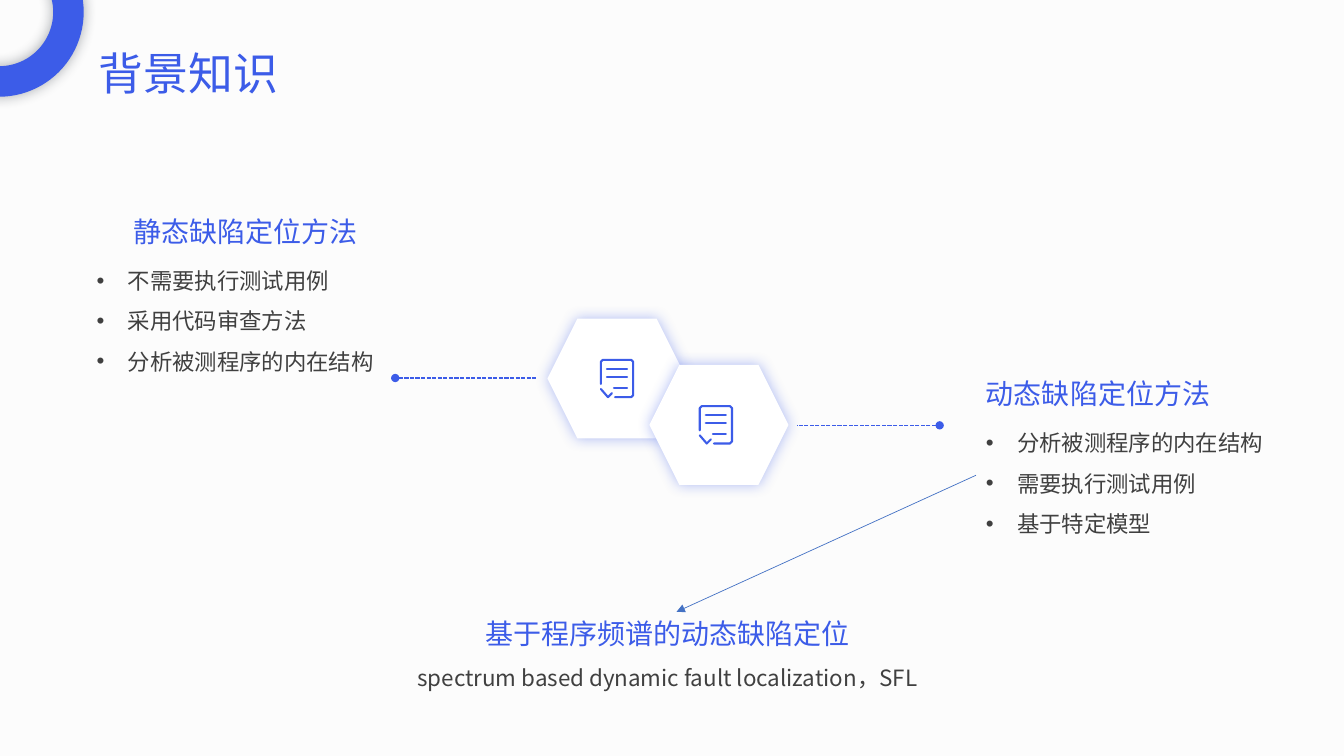
from dataclasses import dataclass

from lxml.etree import SubElement
from pptx import Presentation
from pptx.dml.color import RGBColor
from pptx.enum.dml import MSO_LINE
from pptx.enum.shapes import MSO_CONNECTOR, MSO_SHAPE
from pptx.enum.text import MSO_AUTO_SIZE, PP_ALIGN
from pptx.oxml.ns import qn
from pptx.util import Emu, Pt

EMU_PER_PX = 9144  # 100 px to the inch
FONT = "Noto Sans CJK SC"
BLUE, GREY, WHITE = "3C5CE8", "404040", "FFFFFF"
ICON_STROKES = [
    [(15, 38), (31, 38), (33, 36), (33, 3), (31, 1), (3, 1), (1, 3), (1, 25)],
    [(14, 29), (27, 29)],
    [(7, 18), (27, 18)],
    [(7, 10), (27, 10)],
    [(1, 30), (8, 38), (12, 34)],
]


@dataclass
class Line:
    text: str
    size: int = 16
    color: str = GREY
    align: PP_ALIGN = PP_ALIGN.LEFT
    spacing: float = 1.5
    bullet: bool = False


@dataclass
class TextBox:
    box: tuple[int, int, int, int]
    lines: list[Line]
    wrap: bool = True


@dataclass
class Hexagon:
    left: int
    top: int
    icon: tuple[int, int]


@dataclass
class Connector:
    start: tuple[int, int]
    end: tuple[int, int]
    color: str
    width: float
    marker: tuple[str, str]
    dashed: bool = False


def px(value: int) -> Emu:
    return Emu(value * EMU_PER_PX)


def rgb(color: str) -> RGBColor:
    return RGBColor.from_string(color)


def heading(text: str, align: PP_ALIGN = PP_ALIGN.LEFT) -> Line:
    return Line(text, 20, BLUE, align, 1.0)


def bullet(text: str) -> Line:
    return Line(text, bullet=True)


def add_text(slide, item: TextBox):
    shape = slide.shapes.add_textbox(*map(px, item.box))
    frame = shape.text_frame
    frame.word_wrap = item.wrap
    frame.auto_size = MSO_AUTO_SIZE.SHAPE_TO_FIT_TEXT
    for index, line in enumerate(item.lines):
        paragraph = frame.add_paragraph() if index else frame.paragraphs[0]
        run = paragraph.add_run()
        run.text = line.text
        run.font.color.rgb = rgb(line.color)
        formats = {
            paragraph: {"alignment": line.align, "line_spacing": line.spacing},
            run.font: {"name": FONT, "size": Pt(line.size)},
        }
        for target, values in formats.items():
            for name, value in values.items():
                setattr(target, name, value)
        SubElement(run.font._element, qn("a:ea"), typeface=FONT)
        if line.bullet:
            properties = paragraph._p.get_or_add_pPr()
            properties.set("marL", str(px(31)))
            properties.set("indent", str(px(-31)))
            SubElement(properties, qn("a:buFont"), typeface="Arial")
            SubElement(properties, qn("a:buChar"), char="•")
    return shape


def add_glowing_shape(slide, kind: MSO_SHAPE, box: tuple[int, int, int, int],
                      fill: str, glow: str):
    shape = slide.shapes.add_shape(kind, *map(px, box))
    shape.fill.solid()
    shape.fill.fore_color.rgb = rgb(fill)
    shape.line.fill.background()
    shape.shadow.inherit = False
    effects = shape._element.spPr.find(qn("a:effectLst"))
    shadow = SubElement(effects, qn("a:outerShdw"), blurRad=str(Pt(10)),
                        dist="0", dir="0", algn="ctr", rotWithShape="0")
    color = SubElement(shadow, qn("a:srgbClr"), val=glow)
    SubElement(color, qn("a:alpha"), val="40000")
    return shape


def add_icon(slide, left: int, top: int) -> None:
    first, *others = ICON_STROKES
    builder = slide.shapes.build_freeform(*first[0], scale=EMU_PER_PX)
    builder.add_line_segments(first[1:], close=False)
    for stroke in others:
        builder.move_to(*stroke[0])
        builder.add_line_segments(stroke[1:], close=False)
    shape = builder.convert_to_shape(px(left), px(top))
    shape.fill.background()
    shape.shadow.inherit = False
    shape.line.color.rgb = rgb(BLUE)
    shape.line.width = Pt(1.5)
    outline = shape.line._get_or_add_ln()
    outline.set("cap", "rnd")
    SubElement(outline, qn("a:round"))


def add_line(slide, item: Connector):
    connector = slide.shapes.add_connector(
        MSO_CONNECTOR.STRAIGHT, *map(px, item.start + item.end))
    connector.line.color.rgb = rgb(item.color)
    connector.line.width = Pt(item.width)
    if item.dashed:
        connector.line.dash_style = MSO_LINE.SQUARE_DOT
    end_tag, end_type = item.marker
    SubElement(connector.line._get_or_add_ln(), qn(end_tag), type=end_type)
    SubElement(connector._element.spPr, qn("a:effectLst"))
    return connector


STATIC_METHODS = [
    TextBox((120, 208, 245, 44),
            [heading("静态缺陷定位方法", PP_ALIGN.RIGHT)], wrap=False),
    TextBox((86, 247, 306, 127),
            [bullet("不需要执行测试用例"), bullet("采用代码审查方法"),
             bullet("分析被测程序的内在结构")]),
]
DYNAMIC_HEADING = TextBox((968, 369, 245, 44),
                          [heading("动态缺陷定位方法")], wrap=False)
DYNAMIC_POINTS = TextBox(
    (968, 408, 328, 127),
    [bullet("分析被测程序的内在结构"), bullet("需要执行测试用例"), bullet("基于特定模型")])
TITLE = TextBox((88, 40, 462, 64), [Line("背景知识", 32, BLUE, spacing=1.0)])
SPECTRUM = TextBox(
    (392, 607, 540, 79),
    [heading("基于程序频谱的动态缺陷定位", PP_ALIGN.CENTER),
     Line("spectrum based dynamic fault localization，SFL",
          align=PP_ALIGN.CENTER)])
HEXAGONS = [Hexagon(543, 316, (595, 356)), Hexagon(644, 362, (693, 402))]
DOTTED_LINES = [
    Connector(start, end, BLUE, 1, ("a:headEnd", "oval"), dashed=True)
    for start, end in [((392, 375), (532, 375)), ((932, 422), (790, 422))]
]
ARROW = Connector((968, 471), (671, 607), "4472C4", 0.5,
                  ("a:tailEnd", "triangle"))


def main() -> None:
    presentation = Presentation()
    presentation.slide_width, presentation.slide_height = px(1333), px(750)
    slide = presentation.slides.add_slide(presentation.slide_layouts[6])
    slide.background.fill.solid()
    slide.background.fill.fore_color.rgb = rgb("FCFCFC")

    # Static and dynamic methods
    for item in STATIC_METHODS + [DYNAMIC_HEADING]:
        add_text(slide, item)
    dynamic_points = add_text(slide, DYNAMIC_POINTS)

    # Hexagons with icons and dotted lines
    for hexagon, dotted_line in zip(HEXAGONS, DOTTED_LINES):
        add_glowing_shape(slide, MSO_SHAPE.HEXAGON,
                          (hexagon.left, hexagon.top, 138, 119), WHITE, BLUE)
        add_line(slide, dotted_line)
        add_icon(slide, *hexagon.icon)

    # Corner ring and title
    ring = add_glowing_shape(slide, MSO_SHAPE.DONUT, (-85, -72, 168, 168),
                             BLUE, "222A35")
    ring.adjustments[0] = 0.18
    add_text(slide, TITLE)

    # Spectrum-based localization
    add_text(slide, SPECTRUM)
    add_line(slide, ARROW).begin_connect(dynamic_points, 1)
    presentation.save("out.pptx")


if __name__ == "__main__":
    main()
